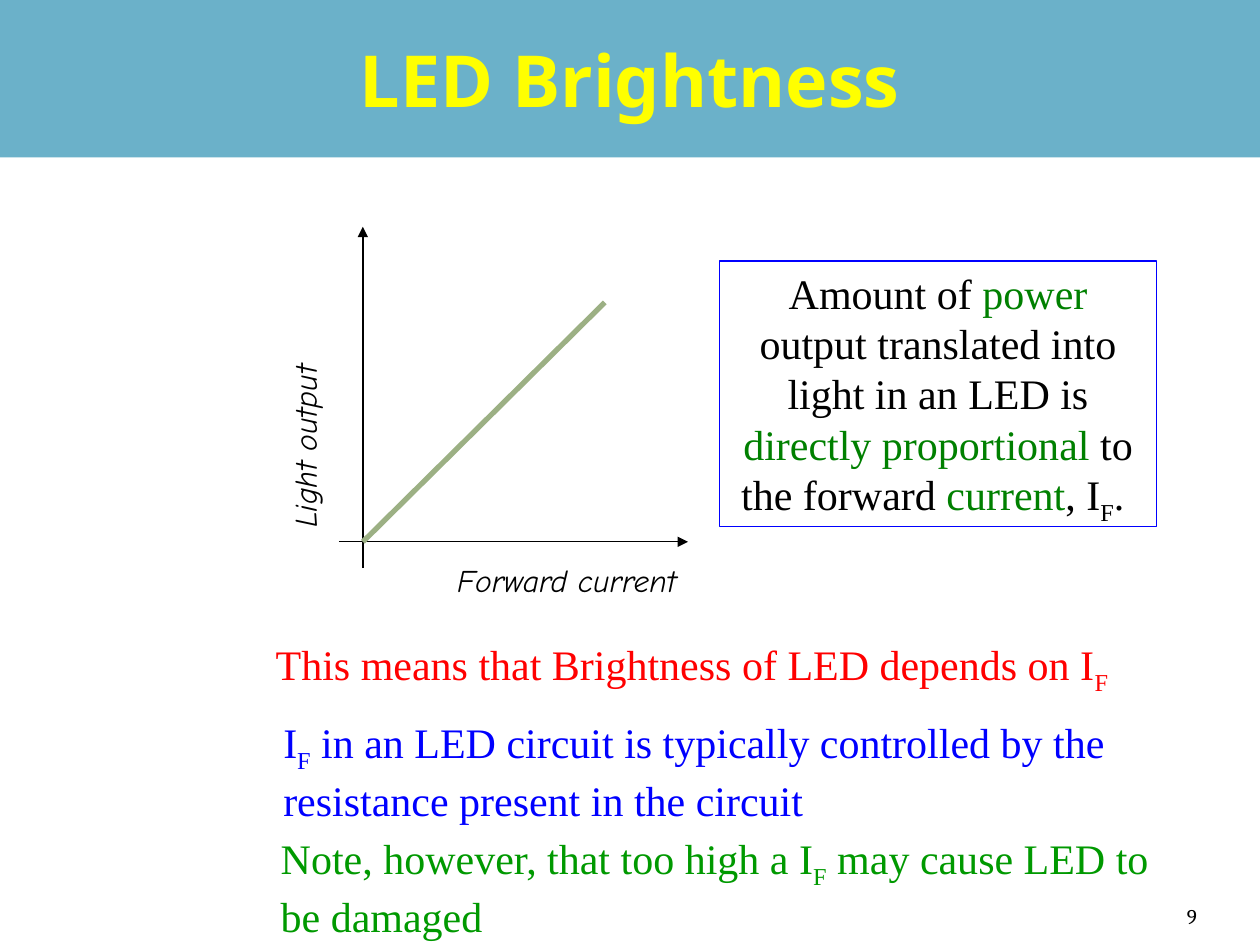
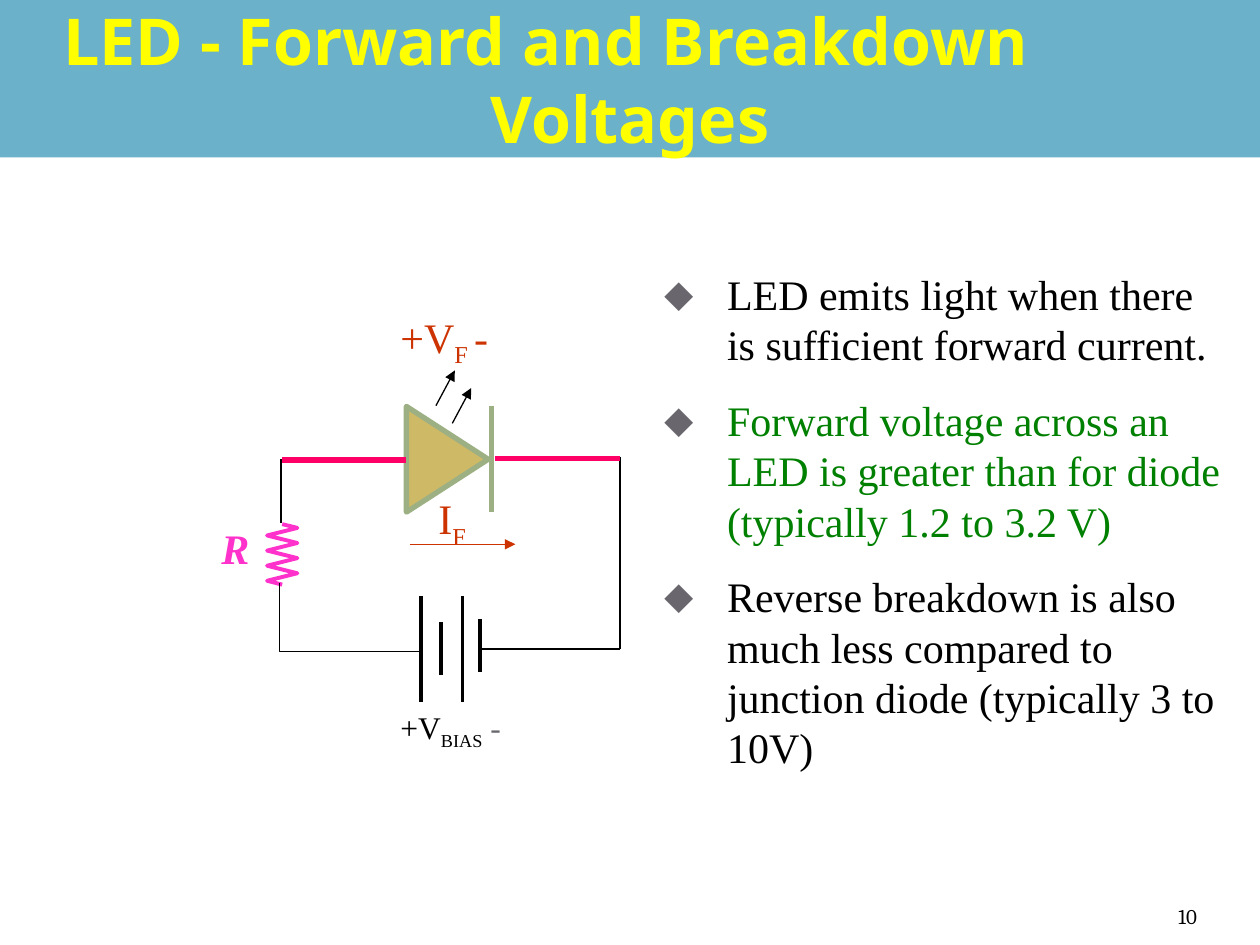
from dataclasses import dataclass

import pptx
import pptx.dml.color
import pptx.enum.shapes
import pptx.enum.text
import pptx.oxml.ns
import pptx.presentation
import pptx.shapes.base
import pptx.slide
import pptx.text.text
import pptx.util
from lxml import etree

Inches = pptx.util.Inches
Pt = pptx.util.Pt
RGBColor = pptx.dml.color.RGBColor
Align = pptx.enum.text.PP_ALIGN
Anchor = pptx.enum.text.MSO_ANCHOR
Kind = pptx.enum.shapes.MSO_SHAPE
qn = pptx.oxml.ns.qn

BAND = RGBColor(0x6B, 0xB1, 0xC9)
YELLOW = RGBColor(0xFF, 0xFF, 0x00)
BLACK = RGBColor(0x00, 0x00, 0x00)
BLUE = RGBColor(0x00, 0x00, 0xFF)
RED = RGBColor(0xFF, 0x00, 0x00)
GREEN = RGBColor(0x00, 0x80, 0x00)
LEAF = RGBColor(0x00, 0x99, 0x00)
SAGE = RGBColor(0x9C, 0xB0, 0x84)
GOLD = RGBColor(0xCE, 0xB9, 0x66)
GREY = RGBColor(0x69, 0x67, 0x6D)
RUST = RGBColor(0xCC, 0x33, 0x00)
PINK = RGBColor(0xFF, 0x33, 0xCC)
ROSE = RGBColor(0xFF, 0x00, 0x66)

SERIF = "Times New Roman"
COMIC = "Comic Neue"
SANS = "Noto Sans"
PAGE = "Cambria"

Box = tuple[float, float, float, float]
Point = tuple[float, float]


@dataclass(frozen=True)
class Bit:
    text: str
    color: RGBColor = BLACK
    sub: bool = False


@dataclass(frozen=True)
class Style:
    font: str = SERIF
    size: float = 24
    bold: bool = False
    slant: bool = False
    align: Align = Align.LEFT


@dataclass(frozen=True)
class Label:
    box: Box
    bits: list[Bit]
    style: Style = Style()
    turn: int = 0
    inset: Point = (0.1, 0.05)
    anchor: Anchor = Anchor.TOP


@dataclass(frozen=True)
class Line:
    start: Point
    end: Point
    color: RGBColor = BLACK
    width: float = 0.75
    arrow: bool = False


def place(shape: pptx.shapes.base.BaseShape, box: Box) -> None:
    shape.left, shape.top, shape.width, shape.height = map(Inches, box)


def write(para: pptx.text.text._Paragraph, bits: list[Bit], style: Style) -> None:
    para.alignment = style.align
    para.space_before = Pt(0)
    para._p.get_or_add_pPr().set("defTabSz", str(Inches(1)))
    for bit in bits:
        run = para.add_run()
        run.text = bit.text
        font = run.font
        font.name, font.size = style.font, Pt(style.size)
        font.bold, font.italic = style.bold, style.slant
        font.color.rgb = bit.color
        if bit.sub:
            run._r.get_or_add_rPr().set("baseline", "-25000")


def frame(shape: pptx.shapes.base.BaseShape, label: Label) -> None:
    text = shape.text_frame
    text.word_wrap = True
    text.auto_size = pptx.enum.text.MSO_AUTO_SIZE.NONE
    text.vertical_anchor = label.anchor
    side, edge = map(Inches, label.inset)
    text.margin_left = text.margin_right = side
    text.margin_top = text.margin_bottom = edge
    shape.rotation = label.turn
    write(text.paragraphs[0], label.bits, label.style)


def add_label(slide: pptx.slide.Slide, label: Label) -> None:
    frame(slide.shapes.add_textbox(*map(Inches, label.box)), label)


def add_line(slide: pptx.slide.Slide, line: Line) -> None:
    ends = map(Inches, (*line.start, *line.end))
    link = slide.shapes.add_connector(pptx.enum.shapes.MSO_CONNECTOR.STRAIGHT, *ends)
    link.line.color.rgb = line.color
    link.line.width = Pt(line.width)
    if line.arrow:
        etree.SubElement(link.line._get_or_add_ln(), qn("a:tailEnd"), type="triangle")
    etree.SubElement(link._element.spPr, qn("a:effectLst"))


def add_path(slide: pptx.slide.Slide, points: list[Point], color: RGBColor, width: float) -> None:
    first, *rest = [(Inches(x), Inches(y)) for x, y in points]
    path = slide.shapes.build_freeform(*first)
    path.add_line_segments(rest, close=False)
    shape = path.convert_to_shape()
    shape.shadow.inherit = False
    shape.fill.background()
    shape.line.color.rgb = color
    shape.line.width = Pt(width)


def add_slide(deck: pptx.presentation.Presentation, layout: int, title: str,
              size: float, number: int) -> pptx.slide.Slide:
    slide = deck.slides.add_slide(deck.slide_layouts[layout])
    band = (0, 0, 10, 1.25)
    head = slide.shapes.title
    place(head, band)
    head.fill.solid()
    head.fill.fore_color.rgb = BAND
    style = Style(SANS, size, bold=True, align=Align.CENTER)
    frame(head, Label(band, [Bit(title, YELLOW)], style, anchor=Anchor.MIDDLE))
    add_label(slide, Label((8.67, 7.02, 0.83, 0.4), [Bit(str(number))],
                           Style(PAGE, 12, align=Align.RIGHT),
                           inset=(0, 0.05), anchor=Anchor.BOTTOM))
    return slide


def add_list(slide: pptx.slide.Slide, box: Box, items: list[Bit]) -> None:
    body = slide.placeholders[1]
    place(body, box)
    text = body.text_frame
    text.auto_size = pptx.enum.text.MSO_AUTO_SIZE.NONE
    for i, item in enumerate(items):
        para = text.add_paragraph() if i else text.paragraphs[0]
        props = para._p.get_or_add_pPr()
        props.set("marL", str(Inches(0.5)))
        props.set("indent", str(-Inches(0.5)))
        tint = etree.SubElement(props, qn("a:buClr"))
        etree.SubElement(tint, qn("a:srgbClr"), val=str(GREY))
        etree.SubElement(props, qn("a:buChar"), char="⬥")
        write(para, [item], Style())
        if i:
            para.space_before = Pt(4.8)
        para.space_after = Pt(9.6)


def add_bright(deck: pptx.presentation.Presentation) -> None:
    slide = add_slide(deck, 5, "LED Brightness", 41, 9)
    for line in (
        Line((2.88, 4.51), (2.88, 1.8), arrow=True),
        Line((2.69, 4.3), (5.46, 4.3), arrow=True),
        Line((2.88, 4.3), (4.8, 2.4), SAGE, 3),
    ):
        add_line(slide, line)

    power = Label((5.71, 2.07, 3.47, 2.11), [
        Bit("Amount of "),
        Bit("power ", GREEN),
        Bit("output translated into light in an LED is "),
        Bit("directly proportional", GREEN),
        Bit(" to the forward "),
        Bit("current", GREEN),
        Bit(", I"),
        Bit("F", sub=True),
        Bit(". "),
    ], Style(align=Align.CENTER))
    shape = slide.shapes.add_shape(Kind.RECTANGLE, *map(Inches, power.box))
    shape.shadow.inherit = False
    shape.fill.background()
    shape.line.color.rgb = BLUE
    shape.line.width = Pt(1)
    frame(shape, power)

    for label in (
        Label((3.22, 4.4, 2.56, 0.4), [Bit("Forward current")],
              Style(COMIC, 18, slant=True, align=Align.CENTER)),
        Label((1.22, 2.89, 2.39, 0.4), [Bit("Light output")],
              Style(COMIC, 18, slant=True), turn=270),
        Label((2.09, 5.02, 6.9, 0.5), [
            Bit("This means that Brightness of LED depends on I", RED),
            Bit("F", RED, True),
        ]),
        Label((2.15, 5.64, 6.9, 0.9), [
            Bit("I", BLUE),
            Bit("F", BLUE, True),
            Bit(" in an LED circuit is typically controlled by the resistance "
                "present in the circuit", BLUE),
        ]),
        Label((2.13, 6.56, 7.34, 0.91), [
            Bit("Note, however, that too high a I", LEAF),
            Bit("F", LEAF, True),
            Bit(" may cause LED to be damaged", LEAF),
        ]),
    ):
        add_label(slide, label)


def add_volts(deck: pptx.presentation.Presentation) -> None:
    slide = add_slide(deck, 1, "LED - Forward and Breakdown \t\tVoltages", 36.9, 10)
    add_list(slide, (5.17, 2.08, 4.64, 5.17), [
        Bit("LED emits light when there is sufficient forward current."),
        Bit("Forward voltage across an LED is greater than for diode "
            "(typically 1.2 to 3.2 V)", GREEN),
        Bit("Reverse breakdown is also much less compared to junction diode "
            "(typically 3 to 10V)"),
    ])

    diode = slide.shapes.add_shape(Kind.ISOSCELES_TRIANGLE,
                                   *map(Inches, (3.13, 3.32, 0.84, 0.65)))
    diode.rotation = 90
    diode.shadow.inherit = False
    diode.fill.solid()
    diode.fill.fore_color.rgb = GOLD
    diode.line.color.rgb = SAGE
    diode.line.width = Pt(3)

    plates = [(3.34, 4.73, 0.84), (3.5, 4.94, 0.42), (3.67, 4.73, 0.84), (3.81, 4.91, 0.42)]
    rays = [(3.46, 3.22), (3.59, 3.36)]
    for line in (
        Line((3.81, 5.15), (4.92, 5.15), width=1),
        Line((4.92, 3.63), (4.92, 5.15), width=1),
        Line((3.9, 3.22), (3.9, 4.06), SAGE, 3),
        Line((3.93, 3.64), (4.92, 3.64), ROSE, 3),
        Line((2.24, 3.65), (3.22, 3.65), ROSE, 3),
        Line((2.23, 4.15), (2.23, 3.64)),
        Line((3.25, 4.32), (4.09, 4.32), RUST, arrow=True),
        *(Line((x, y), (x, y + tall), width=2) for x, y, tall in plates),
        *(Line((x, y), (x + 0.15, y - 0.28), arrow=True) for x, y in rays),
    ):
        add_line(slide, line)

    zigzag = [(2.36 if i % 2 else 2.12, 4.61 - 0.06 * i) for i in range(8)]
    add_path(slide, [(2.24, 4.64), *zigzag, (2.24, 4.16)], PINK, 2.25)
    add_path(slide, [(2.22, 4.63), (2.22, 5.17), (3.33, 5.17)], BLACK, 0.75)

    for label in (
        Label((1.66, 4.1, 0.46, 0.5), [Bit("R", PINK)], Style(bold=True, slant=True)),
        Label((3.08, 5.57, 1.17, 0.4),
              [Bit("+V"), Bit("BIAS", sub=True), Bit(" -", GREY)], Style(size=18)),
        Label((3.46, 3.9, 0.42, 0.42), [Bit("I", RUST), Bit("F", RUST, True)],
              inset=(0.02, 0.01)),
        Label((3.08, 2.42, 1.4, 0.5),
              [Bit("+V", RUST), Bit("F ", RUST, True), Bit("-", RUST)]),
    ):
        add_label(slide, label)


def main() -> None:
    deck = pptx.Presentation()
    deck.slide_width, deck.slide_height = Inches(10), Inches(7.5)
    add_bright(deck)
    add_volts(deck)
    deck.save("out.pptx")


if __name__ == "__main__":
    main()
